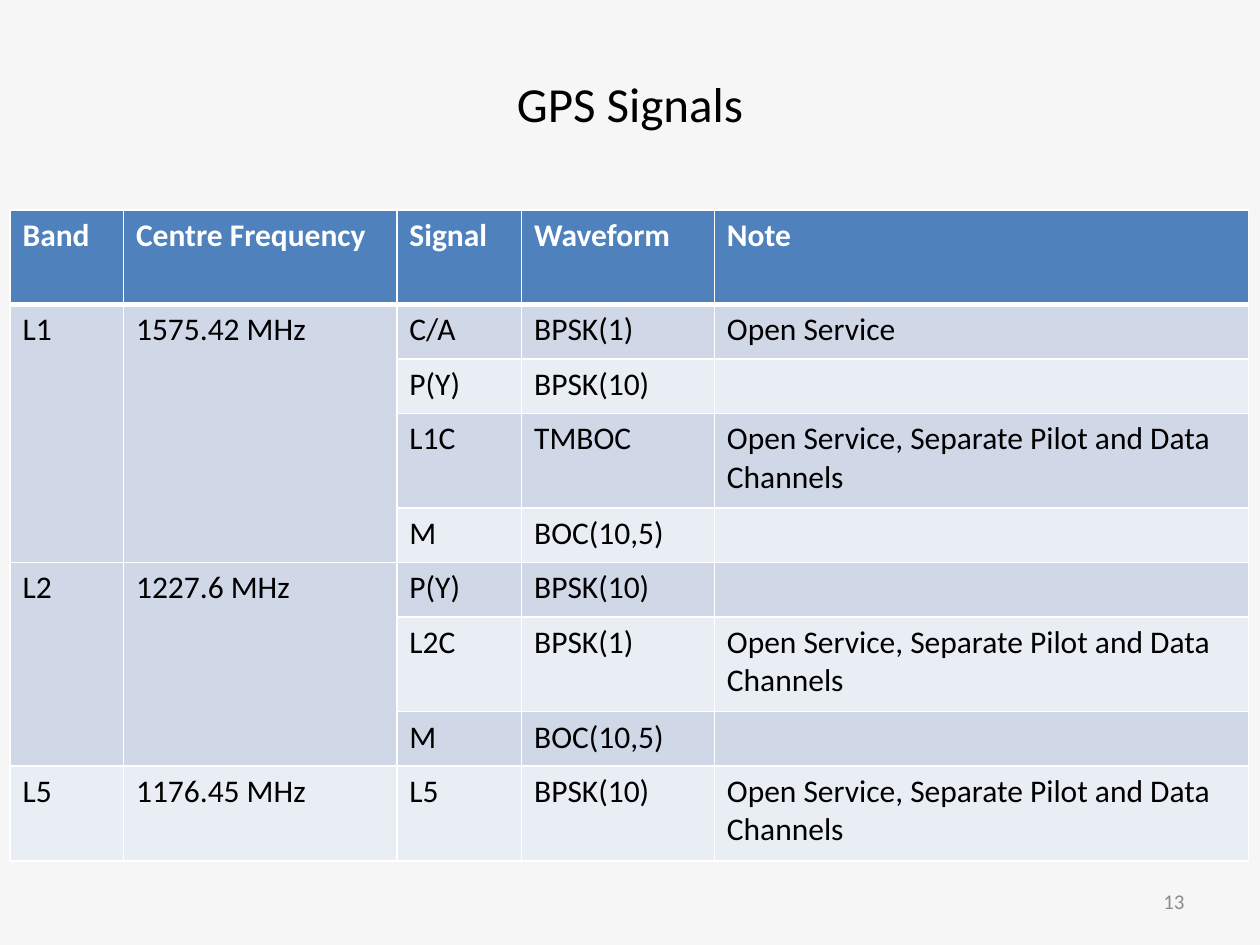
from dataclasses import dataclass

from lxml import etree
from pptx import Presentation
from pptx import util as u
from pptx.dml.color import RGBColor
from pptx.enum import text
from pptx.oxml.ns import qn

WIDE, HIGH = u.Inches(10), u.Inches(7.5)
COLS = (9, 21.7, 9.9, 15.3, 42.4)
TALL, LOW = 10.03, 5.76
HEADS = ("Band", "Centre Frequency", "Signal", "Waveform", "Note")
OPEN = "Open Service"
SPLIT = "Open Service, Separate Pilot and Data Channels"
BLUE, WHITE, BLACK = "4F81BD", "FFFFFF", "000000"
BANDS = ("D0D8E8", "E9EDF4")


@dataclass
class Signal:
    """One signal of a band."""
    name: str
    wave: str
    note: str = ""


@dataclass
class Band:
    """A frequency band and its signals."""
    name: str
    freq: str
    sigs: tuple[Signal, ...]


@dataclass
class Label:
    """A text box placed in percent of the slide."""
    words: str
    left: float
    top: float
    width: float
    height: float
    size: int
    align: text.PP_ALIGN
    ink: str


GPS = (
    Band("L1", "1575.42 MHz", (
        Signal("C/A", "BPSK(1)", OPEN), Signal("P(Y)", "BPSK(10)"),
        Signal("L1C", "TMBOC", SPLIT), Signal("M", "BOC(10,5)"))),
    Band("L2", "1227.6 MHz", (
        Signal("P(Y)", "BPSK(10)"), Signal("L2C", "BPSK(1)", SPLIT),
        Signal("M", "BOC(10,5)"))),
    Band("L5", "1176.45 MHz", (Signal("L5", "BPSK(10)", SPLIT),)),
)
LABELS = (
    Label("GPS Signals", 5, 4, 90, 13.73, 28, text.PP_ALIGN.CENTER, BLACK),
    Label("13", 71.7, 92.67, 23.3, 5.33, 12, text.PP_ALIGN.RIGHT, "8C8C8C"),
)


def tint(code: str) -> RGBColor:
    """Turn a hex string into a colour."""
    return RGBColor.from_string(code)


def across(share: float) -> int:
    """Give a percentage of the slide width."""
    return round(WIDE * share / 100)


def down(share: float) -> int:
    """Give a percentage of the slide height."""
    return round(HIGH * share / 100)


def style(para, size: int, ink: str, bold: bool = False) -> None:
    """Set the font of a paragraph."""
    look = {"name": "Calibri", "size": u.Pt(size), "bold": bold}
    for key, value in look.items():
        setattr(para.font, key, value)
    para.font.color.rgb = tint(ink)


def write(slide, label: Label) -> None:
    """Draw a label."""
    box = slide.shapes.add_textbox(across(label.left), down(label.top),
                                   across(label.width), down(label.height))
    frame = box.text_frame
    look = {"word_wrap": True, "vertical_anchor": text.MSO_ANCHOR.MIDDLE}
    for key, value in look.items():
        setattr(frame, key, value)
    para = frame.paragraphs[0]
    para.text, para.alignment = label.words, label.align
    style(para, label.size, label.ink)


def edge(cell, row: int) -> None:
    """Rule a cell in white, with a thick line under the header."""
    widths = {"L": 1, "R": 1, "T": 3 if row == 1 else 1, "B": 1 if row else 3}
    props = cell._tc.get_or_add_tcPr()
    for spot, (side, width) in enumerate(widths.items()):
        line = etree.Element(qn(f"a:ln{side}"), w=str(u.Pt(width)))
        fill = etree.SubElement(line, qn("a:solidFill"))
        etree.SubElement(fill, qn("a:srgbClr"), val=WHITE)
        props.insert(spot, line)


def paint(cell, row: int, words: str) -> None:
    """Fill, rule and letter a cell."""
    head = row == 0
    cell.fill.solid()
    cell.fill.fore_color.rgb = tint(BLUE if head else BANDS[(row - 1) % 2])
    edge(cell, row)
    para = cell.text_frame.paragraphs[0]
    para.text = words
    style(para, 18, WHITE if head else BLACK, head)


def chart(slide, bands: tuple[Band, ...]) -> None:
    """Draw the table of signals by band."""
    rows = [HEADS]
    spans = []
    for band in bands:
        spans.append((len(rows), len(rows) + len(band.sigs) - 1))
        for at, sig in enumerate(band.sigs):
            lead = ("", "") if at else (band.name, band.freq)
            rows.append((*lead, sig.name, sig.wave, sig.note))
    highs = [TALL if row[-1] in (HEADS[-1], SPLIT) else LOW for row in rows]
    grid = slide.shapes.add_table(
        len(rows), len(COLS), across(0.8), down(22.2),
        across(sum(COLS)), down(sum(highs))).table
    for col, share in zip(grid.columns, COLS):
        col.width = across(share)
    for at, (row, share) in enumerate(zip(rows, highs)):
        grid.rows[at].height = down(share)
        for col, words in enumerate(row):
            paint(grid.cell(at, col), at, words)
    for first, last in spans:
        if last > first:
            for col in range(2):
                grid.cell(first, col).merge(grid.cell(last, col))


def main() -> None:
    """Build and save the slide."""
    deck = Presentation()
    deck.slide_width, deck.slide_height = WIDE, HIGH
    slide = deck.slides.add_slide(deck.slide_layouts[6])
    back = slide.background.fill
    back.solid()
    back.fore_color.rgb = tint("F6F6F6")
    chart(slide, GPS)
    for label in LABELS:
        write(slide, label)
    deck.save("out.pptx")


if __name__ == "__main__":
    main()
